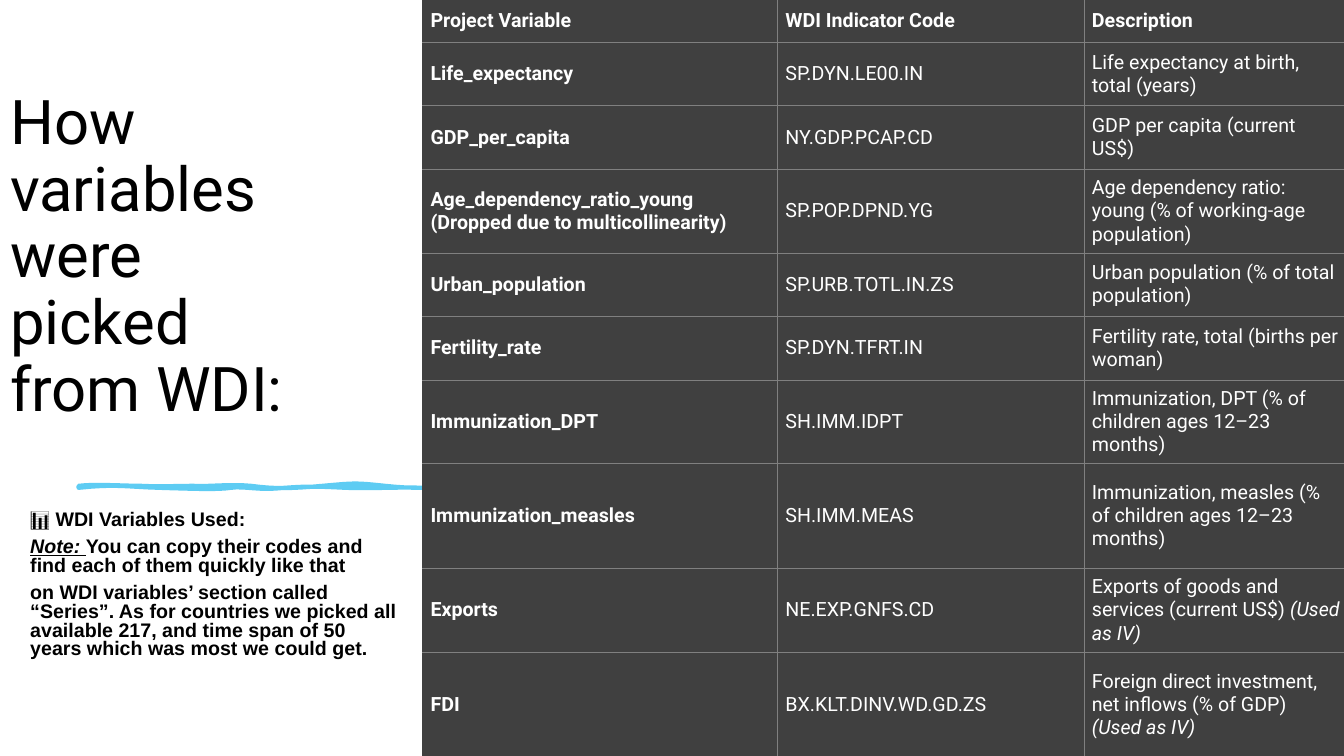
from lxml import etree
from pptx import Presentation
from pptx import util as u
from pptx.dml import color
from pptx.enum import text
from pptx.oxml import ns

NOTE = "(Used as IV)"
VARIABLES = [
    ("Project Variable", "WDI Indicator Code", "Description"),
    ("Life_expectancy", "SP.DYN.LE00.IN", "Life expectancy at birth, total (years)"),
    ("GDP_per_capita", "NY.GDP.PCAP.CD", "GDP per capita (current US$)"),
    ("Age_dependency_ratio_young (Dropped due to multicollinearity)", "SP.POP.DPND.YG",
     "Age dependency ratio: young (% of working-age population)"),
    ("Urban_population", "SP.URB.TOTL.IN.ZS", "Urban population (% of total population)"),
    ("Fertility_rate", "SP.DYN.TFRT.IN", "Fertility rate, total (births per woman)"),
    ("Immunization_DPT", "SH.IMM.IDPT", "Immunization, DPT (% of children ages 12–23 months)"),
    ("Immunization_measles", "SH.IMM.MEAS",
     "Immunization, measles (% of children ages 12–23 months)"),
    ("Exports", "NE.EXP.GNFS.CD", "Exports of goods and services (current US$) ", NOTE),
    ("FDI", "BX.KLT.DINV.WD.GD.ZS", "Foreign direct investment, net inflows (% of GDP) ", NOTE),
]
COLUMN_WIDTHS = [3.52, 3.04, 2.59]
ROW_HEIGHTS = [0.42, 0.63, 0.63, 0.83, 0.63, 0.63, 0.83, 1.04, 0.83, 1.04]

STROKE_START = (0.78, 4.82)
STROKE_CURVES = [
    (0.95, 4.8, 1.2, 4.82, 1.4, 4.82), (1.6, 4.83, 1.77, 4.82, 1.92, 4.82),
    (2.07, 4.83, 2.27, 4.8, 2.49, 4.82), (2.72, 4.85, 2.87, 4.85, 3.2, 4.82),
    (3.53, 4.79, 3.53, 4.79, 3.82, 4.82), (4.1, 4.85, 4.26, 4.84, 4.39, 4.82),
    (4.52, 4.8, 5.17, 4.78, 5.42, 4.82), (5.42, 4.83, 5.42, 4.83, 5.42, 4.84),
    (5.28, 4.82, 5.08, 4.82, 4.76, 4.84), (4.44, 4.86, 4.34, 4.85, 4.19, 4.84),
    (4.04, 4.83, 3.65, 4.85, 3.43, 4.84), (3.22, 4.83, 3.07, 4.82, 2.82, 4.84),
    (2.57, 4.87, 2.42, 4.82, 2.29, 4.84), (2.16, 4.86, 1.92, 4.85, 1.58, 4.84),
    (1.24, 4.83, 1.15, 4.8, 0.78, 4.84),
]


def rgb(value):
    return color.RGBColor.from_string(value)


def style(span, size, face, hue, bold=False, italic=False, underline=False):
    font = span.font
    font.size, font.name, font.color.rgb = u.Pt(size), face, rgb(hue)
    font.bold, font.italic, font.underline = bold, italic, underline


def place(box, left, top, width, height, anchor):
    box.left, box.top = u.Inches(left), u.Inches(top)
    box.width, box.height = u.Inches(width), u.Inches(height)
    frame = box.text_frame
    frame.word_wrap = True
    frame.auto_size = text.MSO_AUTO_SIZE.NONE
    frame.vertical_anchor = anchor
    return frame


def space(para, line, after=0):
    para.alignment = text.PP_ALIGN.LEFT
    para.line_spacing = line
    para.space_before, para.space_after = u.Pt(0), u.Pt(after)


def add_title(page):
    frame = place(page.shapes.title, 0, 0, 3.14, 4.26, text.MSO_ANCHOR.BOTTOM)
    frame.text = "How variables were picked from WDI:"
    space(frame.paragraphs[0], 0.9)
    style(frame.paragraphs[0].runs[0], 44, "Roboto", "000000")


def add_subtitle(page):
    frame = place(page.placeholders[1], 0.2, 5.02, 3.89, 2.2, text.MSO_ANCHOR.TOP)
    frame.text = "\n".join([
        "📊 WDI Variables Used:",
        "Note: ",
        "on WDI variables’ section called “Series”. As for countries we picked all "
        "available 217, and time span of 50 years which was most we could get.",
    ])
    heading, note, details = frame.paragraphs
    note.add_run().text = "You can copy their codes and find each of them quickly like that"
    for para in frame.paragraphs:
        space(para, 0.8, 6)
        for span in para.runs:
            style(span, 24 if para is heading else 14, "Arial", "000000", bold=True)
    note.runs[0].font.italic = note.runs[0].font.underline = True


def curve_points(start, curves, steps=8):
    x0, y0 = start
    for x1, y1, x2, y2, x3, y3 in curves:
        for step in range(1, steps + 1):
            t = step / steps
            s = 1 - t
            weights = s ** 3, 3 * s * s * t, 3 * s * t * t, t ** 3
            yield tuple(
                u.Inches(sum(w * v for w, v in zip(weights, values)))
                for values in ((x0, x1, x2, x3), (y0, y1, y2, y3)))
        x0, y0 = x3, y3


def add_brush_stroke(page):
    left, top = STROKE_START
    builder = page.shapes.build_freeform(u.Inches(left), u.Inches(top))
    builder.add_line_segments(curve_points(STROKE_START, STROKE_CURVES), close=True)
    stroke = builder.convert_to_shape()
    stroke.shadow.inherit = False
    stroke.fill.solid()
    stroke.fill.fore_color.rgb = rgb("5ECCF3")
    stroke.line.color.rgb = rgb("5ECCF3")
    stroke.line.width = u.Pt(3)


def set_borders(cell, visible):
    properties = cell._tc.get_or_add_tcPr()
    for side, shown in zip("LRTB", visible):
        border = etree.SubElement(properties, ns.qn(f"a:ln{side}"), w=str(u.Pt(0.5)))
        if shown:
            fill = etree.SubElement(border, ns.qn("a:solidFill"))
            etree.SubElement(fill, ns.qn("a:srgbClr"), val="808080")
        else:
            etree.SubElement(border, ns.qn("a:noFill"))


def fill_cell(cell, words, bold, note=""):
    cell.fill.solid()
    cell.fill.fore_color.rgb = rgb("404040")
    cell.vertical_anchor = text.MSO_ANCHOR.MIDDLE
    cell.margin_left, cell.margin_right = u.Inches(0.08), u.Inches(0.04)
    cell.margin_top = cell.margin_bottom = u.Inches(0.06)
    para = cell.text_frame.paragraphs[0]
    para.text = words
    style(para.runs[0], 14, "Roboto", "FFFFFF", bold)
    if note:
        span = para.add_run()
        span.text = note
        style(span, 14, "Roboto", "FFFFFF", italic=True)


def add_variable_table(page):
    last_row, last_column = len(ROW_HEIGHTS) - 1, len(COLUMN_WIDTHS) - 1
    table = page.shapes.add_table(
        last_row + 1, last_column + 1, u.Inches(4.19), 0, u.Inches(9.14), u.Inches(7.5)).table
    for column, width in zip(table.columns, COLUMN_WIDTHS):
        column.width = u.Inches(width)
    for row, height in zip(table.rows, ROW_HEIGHTS):
        row.height = u.Inches(height)
    for r, (name, code, description, *note) in enumerate(VARIABLES):
        for c, words in enumerate((name, code, description)):
            cell = table.cell(r, c)
            set_borders(cell, (c > 0, c < last_column, r > 0, r < last_row))
            fill_cell(cell, words, r == 0 or c == 0, note[0] if note and c == last_column else "")


def main():
    deck = Presentation()
    deck.slide_width, deck.slide_height = u.Inches(13.33), u.Inches(7.5)
    page = deck.slides.add_slide(deck.slide_layouts[0])
    page.background.fill.solid()
    page.background.fill.fore_color.rgb = rgb("FFFFFF")
    add_title(page)
    add_subtitle(page)
    add_brush_stroke(page)
    add_variable_table(page)
    deck.save("out.pptx")


if __name__ == "__main__":
    main()
